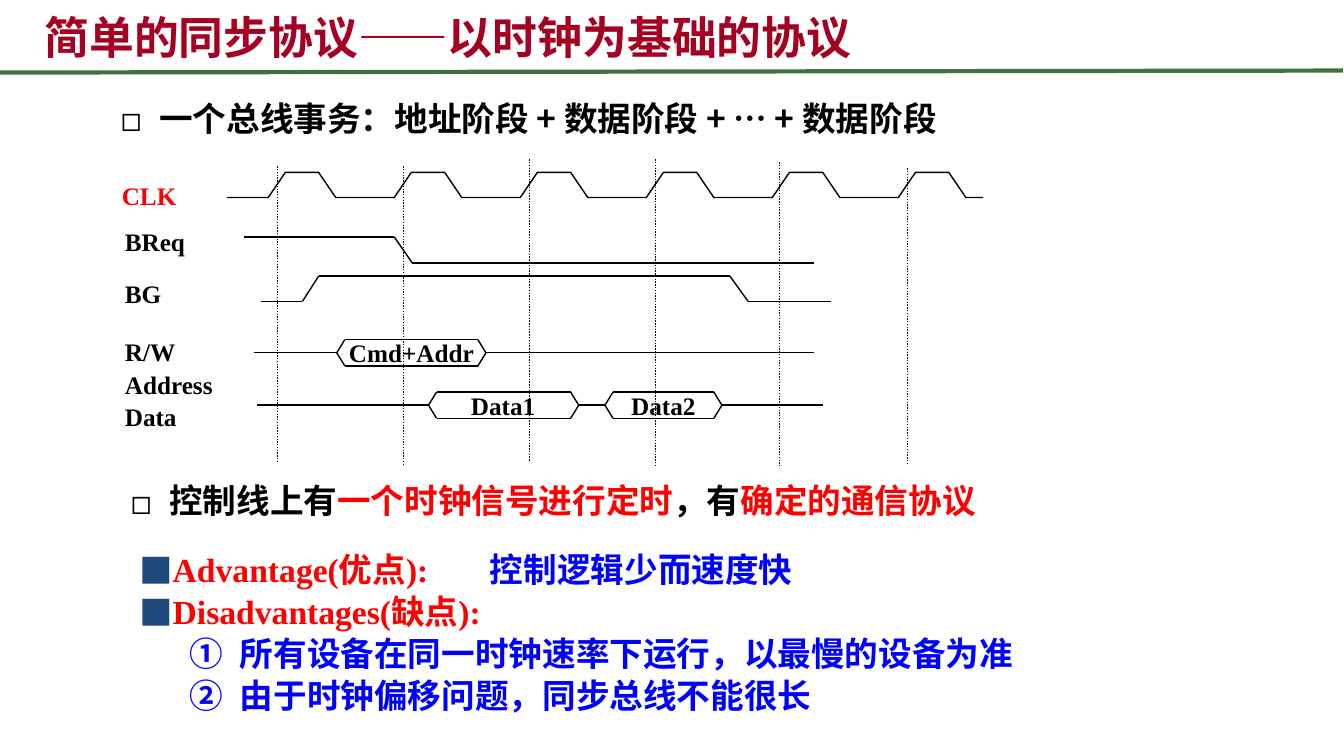
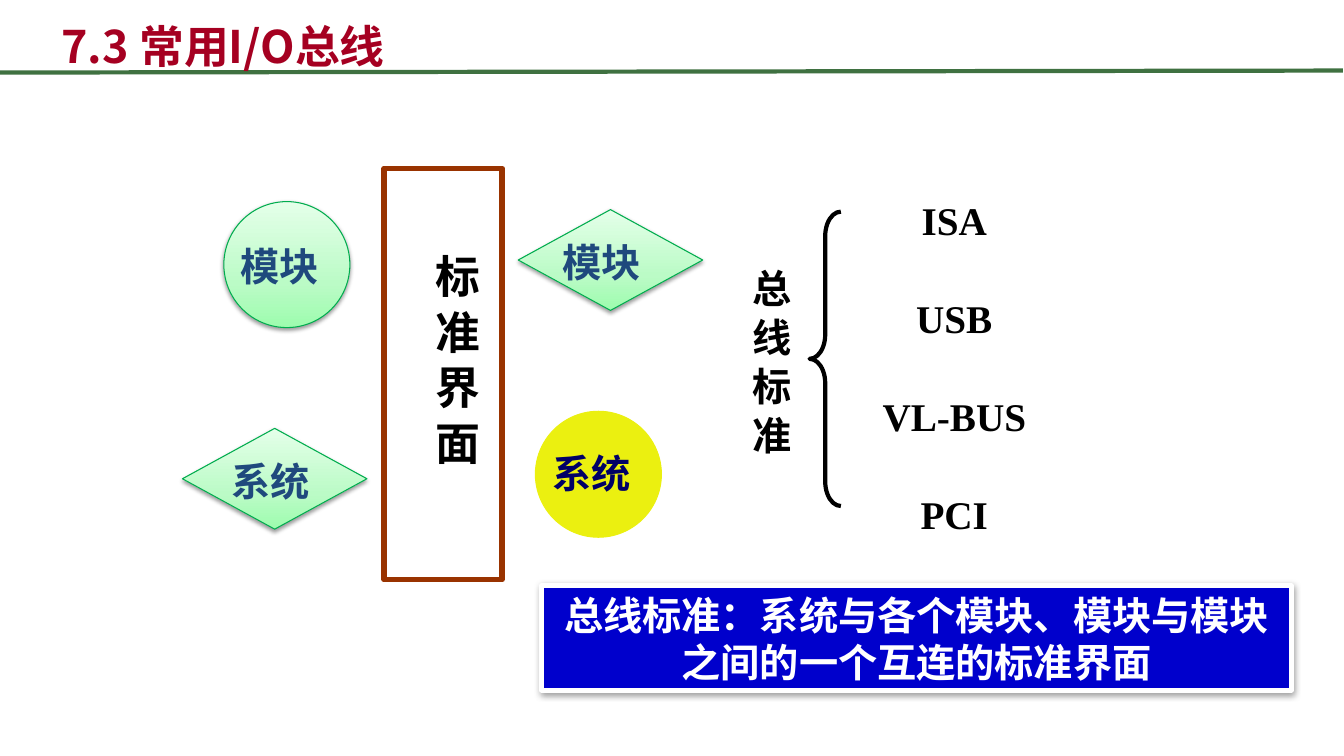
from dataclasses import dataclass
from itertools import pairwise
from typing import Any, Optional

from lxml import etree
from pptx import Presentation
from pptx.dml.color import RGBColor
from pptx.enum import dml, shapes, text
from pptx.oxml import ns
from pptx import util as u

PX = 9144
COLORS = {
    "title": "A50021", "rule": "3F7141", "ink": "000000", "red": "FF0000",
    "blue": "0000FF", "navy": "1F497D", "midnight": "000066", "yellow": "EBF010",
    "green": "00AC4E", "brown": "993300", "panel": "0000CC", "white": "FFFFFF",
    "mint_deep": "9DFCAE", "mint": "BBFBC6", "mint_pale": "E4FFE9",
}
CJK, SERIF = "Noto Sans CJK SC", "Times New Roman"
CENTER, LEFT = text.PP_ALIGN.CENTER, text.PP_ALIGN.LEFT
TOP, MIDDLE, BOTTOM = text.MSO_ANCHOR.TOP, text.MSO_ANCHOR.MIDDLE, text.MSO_ANCHOR.BOTTOM
Point = tuple[int, int]


@dataclass(frozen=True)
class Box:
    x: int
    y: int
    w: int
    h: int

    def emu(self) -> list[int]:
        return [v * PX for v in (self.x, self.y, self.w, self.h)]


@dataclass(frozen=True)
class Style:
    size: int
    font: str = SERIF
    color: str = "ink"
    align: Any = LEFT
    line: Optional[int] = None
    gap: int = 0


@dataclass(frozen=True)
class Bullet:
    char: str = ""
    number: str = ""
    color: str = "ink"
    margin: int = 38
    hang: int = 38
    tab: int = 0


@dataclass(frozen=True)
class Item:
    phrases: tuple[tuple[str, str], ...]
    bullet: Optional[Bullet] = None
    level: int = 0


@dataclass(frozen=True)
class Node:
    caption: str
    kind: Any
    box: Box
    caption_at: Point
    color: str = "navy"
    plain: bool = False


@dataclass(frozen=True)
class Cell:
    caption: str
    left: int
    right: int


def rgb(name: str) -> RGBColor:
    return RGBColor.from_string(COLORS[name])


def sub(parent: Any, tag: str, **attrs: Any) -> Any:
    return etree.SubElement(parent, ns.qn(tag), {k: str(v) for k, v in attrs.items()})


def add_bullet(paragraph: Any, bullet: Bullet) -> None:
    props = paragraph._p.get_or_add_pPr()
    props.set("marL", str(bullet.margin * PX))
    props.set("indent", str(-bullet.hang * PX))
    if bullet.number:
        sub(props, "a:buFont", typeface="+mj-lt")
        sub(props, "a:buAutoNum", type=bullet.number)
    else:
        sub(sub(props, "a:buClr"), "a:srgbClr", val=COLORS[bullet.color])
        sub(props, "a:buFont", typeface=CJK)
        sub(props, "a:buChar", char=bullet.char)
    if bullet.tab:
        sub(sub(props, "a:tabLst"), "a:tab", pos=bullet.tab * PX, algn="l")


def format_run(run: Any, style: Style, color: str) -> None:
    font = run.font
    font.size, font.bold, font.name = u.Pt(style.size), True, style.font
    font.color.rgb = rgb(color)
    latin = run._r.get_or_add_rPr().find(ns.qn("a:latin"))
    latin.addnext(etree.Element(ns.qn("a:ea"), {"typeface": CJK}))


def write(shape: Any, items: list[Item], style: Style, anchor: Any = TOP) -> None:
    frame = shape.text_frame
    frame.word_wrap = True
    frame.auto_size = text.MSO_AUTO_SIZE.NONE
    frame.vertical_anchor = anchor
    for index, item in enumerate(items):
        paragraph = frame.add_paragraph() if index else frame.paragraphs[0]
        paragraph.text = item.phrases[0][0]
        for words, _ in item.phrases[1:]:
            paragraph.add_run().text = words
        if item.bullet:
            add_bullet(paragraph, item.bullet)
        paragraph.level = item.level
        paragraph.alignment = style.align
        paragraph.space_before = u.Pt(style.gap if index else 0)
        if style.line:
            paragraph.line_spacing = u.Pt(style.line)
        for run, (_, color) in zip(paragraph.runs, item.phrases):
            format_run(run, style, color)


def plain(style: Style, *lines: str) -> list[Item]:
    return [Item(((line, style.color),)) for line in lines]


def add_text(slide: Any, box: Box, items: list[Item], style: Style) -> Any:
    caption = slide.shapes.add_textbox(*box.emu())
    write(caption, items, style)
    return caption


def place(placeholder: Any, box: Box) -> None:
    placeholder.left, placeholder.top, placeholder.width, placeholder.height = box.emu()


def set_title(slide: Any, words: str, box: Box) -> None:
    style = Style(32, CJK, "title", line=40)
    place(slide.shapes.title, box)
    write(slide.shapes.title, plain(style, words), style, BOTTOM)


def segment(slide: Any, start: Point, end: Point, color: str = "ink",
            width: int = 1, dotted: bool = False) -> Any:
    line = slide.shapes.add_connector(
        shapes.MSO_CONNECTOR.STRAIGHT, *(v * PX for v in (*start, *end)))
    line.line.color.rgb = rgb(color)
    line.line.width = u.Pt(width)
    if dotted:
        line.line.dash_style = dml.MSO_LINE.ROUND_DOT
    sub(line._element.spPr, "a:effectLst")
    return line


def trace(slide: Any, *points: Point) -> None:
    for start, end in pairwise(points):
        segment(slide, start, end)


def clock(slide: Any, left: int, period: int, cycles: int) -> None:
    low, high = 196, 171
    wave = [(41, low), (58, high), (91, high), (108, low), (period, low)]
    for cycle in range(cycles):
        x = left + cycle * period
        pulse = slide.shapes.build_freeform(x, low, scale=PX)
        pulse.add_line_segments([(x + dx, y) for dx, y in wave], close=False)
        outline = pulse.convert_to_shape()
        outline.shadow.inherit = False
        outline.fill.background()
        outline.line.color.rgb = rgb("ink")
        outline.line.width = u.Pt(1)


def bus(slide: Any, y: int, start: int, end: int, cells: list[Cell]) -> None:
    style = Style(18, align=CENTER)
    x = start
    for cell in cells:
        a, b = cell.left, cell.right
        trace(slide, (x, y), (a, y))
        trace(slide, (a, y), (a + 8, y - 13), (b - 8, y - 13), (b, y),
              (b - 8, y + 13), (a + 8, y + 13), (a, y))
        add_text(slide, Box((a + b) // 2 - 80, y - 20, 160, 40),
                 plain(style, cell.caption), style)
        x = b
    trace(slide, (x, y), (end, y))


def add_shadow(shape: Any, blur: float) -> None:
    effects = shape._element.spPr.find(ns.qn("a:effectLst"))
    outer = sub(effects, "a:outerShdw", blurRad=u.Pt(blur), dist=u.Pt(1.6),
                dir=5400000, rotWithShape=0)
    sub(sub(outer, "a:srgbClr", val=COLORS["ink"]), "a:alpha", val=38000)


def add_gradient(shape: Any) -> None:
    shape.fill.gradient()
    old = shape._element.spPr.find(ns.qn("a:gradFill"))
    gradient = etree.Element(ns.qn("a:gradFill"), {"rotWithShape": "1"})
    stops = sub(gradient, "a:gsLst")
    for percent, color in ((0, "mint_deep"), (35, "mint"), (100, "mint_pale")):
        sub(sub(stops, "a:gs", pos=percent * 1000), "a:srgbClr", val=COLORS[color])
    sub(gradient, "a:lin", ang=16200000, scaled=0)
    old.getparent().replace(old, gradient)


def add_preset(slide: Any, kind: Any, box: Box, line: str, width: float,
               fill: Optional[str] = None) -> Any:
    shape = slide.shapes.add_shape(kind, *box.emu())
    shape.shadow.inherit = False
    shape.line.color.rgb = rgb(line)
    shape.line.width = u.Pt(width)
    if fill:
        shape.fill.solid()
        shape.fill.fore_color.rgb = rgb(fill)
    else:
        shape.fill.background()
    return shape


def add_node(slide: Any, node: Node) -> None:
    if node.plain:
        add_preset(slide, node.kind, node.box, "yellow", 0.75, "yellow")
    else:
        body = add_preset(slide, node.kind, node.box, "green", 0.75)
        add_gradient(body)
        add_shadow(body, 3.1)
    style = Style(28, color=node.color, align=CENTER, line=35)
    add_text(slide, Box(*node.caption_at, 99, 57), plain(style, node.caption), style)


def protocol_slide(slide: Any) -> None:
    set_title(slide, "简单的同步协议——以时钟为基础的协议", Box(34, 4, 895, 64))
    clock(slide, 225, 125, 6)
    for x, top, bottom in ((275, 165, 458), (400, 165, 461), (525, 158, 458),
                           (650, 158, 462), (773, 161, 464), (900, 167, 461)):
        segment(slide, (x, top), (x, bottom), dotted=True)
    trace(slide, (242, 235), (391, 235), (409, 261), (807, 261))
    trace(slide, (259, 299), (300, 299), (316, 274), (724, 274), (742, 299), (824, 299))
    bus(slide, 350, 252, 807, [Cell("Cmd+Addr", 334, 482)])
    bus(slide, 402, 255, 816, [Cell("Data1", 425, 574), Cell("Data2", 600, 716)])
    label = Style(18, gap=2)
    for x, y, lines in ((114, 220, ("BReq",)), (114, 271, ("BG",)),
                        (114, 329, ("R/W", "Address")), (114, 393, ("Data",))):
        add_text(slide, Box(x, y, 130, 40 * len(lines)), plain(label, *lines), label)
    signal = Style(18, color="red")
    add_text(slide, Box(111, 174, 97, 40), plain(signal, "CLK"), signal)

    square = Bullet("◻")
    add_text(slide, Box(81, 95, 887, 47),
             [Item((("一个总线事务：地址阶段 + 数据阶段 + … + 数据阶段", "ink"),), square)],
             Style(24, CJK, align=CENTER, line=27))
    add_text(slide, Box(120, 470, 914, 50),
             [Item((("控制线上有", "ink"), ("一个时钟信号进行定时", "red"),
                    ("，有", "ink"), ("确定的通信协议", "red")), square)],
             Style(24, CJK, line=30))

    block = Bullet("■", color="navy", margin=29, hang=29, tab=348)
    circled = Bullet(number="circleNumDbPlain", margin=100, hang=50)
    verdict = slide.placeholders[1]
    place(verdict, Box(128, 538, 1047, 178))
    write(verdict, [
        Item((("Advantage(优点):\t", "red"), ("控制逻辑少而速度快", "blue")), block),
        Item((("Disadvantages(缺点):", "red"),), block),
        Item((("所有设备在同一时钟速率下运行，以最慢的设备为准", "blue"),), circled, 1),
        Item((("由于时钟偏移问题，同步总线不能很长", "blue"),), circled, 1),
    ], Style(24, line=30))


def standards_slide(slide: Any) -> None:
    set_title(slide, "7.3 常用I/O总线", Box(51, 3, 768, 74))
    preset = shapes.MSO_SHAPE
    for node in (
        Node("模块", preset.OVAL, Box(222, 200, 125, 125), (228, 234)),
        Node("系统", preset.OVAL, Box(531, 408, 125, 125), (537, 439), "midnight", True),
        Node("系统", preset.DIAMOND, Box(181, 425, 183, 100), (219, 447)),
        Node("模块", preset.DIAMOND, Box(514, 208, 183, 100), (547, 230)),
    ):
        add_node(slide, node)

    add_preset(slide, preset.RECTANGLE, Box(381, 167, 117, 408), "brown", 4)
    upright = Style(32)
    interface = add_text(slide, Box(410, 242, 74, 350), plain(upright, "标 准 界 面"), upright)
    interface.text_frame._txBody.bodyPr.set("vert", "eaVert")

    brace = add_preset(slide, preset.LEFT_BRACE, Box(803, 210, 31, 292), "ink", 3)
    brace.adjustments[0] = 0.78
    stacked = Style(28, align=CENTER, line=35)
    add_text(slide, Box(736, 255, 59, 206), plain(stacked, *"总线标准"), stacked)
    spread = Style(28, align=CENTER, line=35, gap=35)
    add_text(slide, Box(845, 188, 203, 354),
             plain(spread, "ISA", "USB", "VL-BUS", "PCI"), spread)

    panel = add_preset(slide, preset.RECTANGLE, Box(537, 581, 744, 104), "white", 3, "panel")
    add_shadow(panel, 5)
    summary = Style(28, CJK, "white", CENTER, 34)
    write(panel, plain(summary, "总线标准：系统与各个模块、模块与模块之间的一个互连的标准界面"),
          summary, MIDDLE)


def main() -> None:
    deck = Presentation()
    deck.slide_width, deck.slide_height = 1333 * PX, 750 * PX
    protocol = deck.slides.add_slide(deck.slide_layouts[1])
    rule = segment(protocol, (0, 72), (1332, 70), "rule", 3)
    deck.slide_master.element.cSld.spTree.append(rule.element)
    protocol_slide(protocol)
    standards_slide(deck.slides.add_slide(deck.slide_layouts[5]))
    deck.save("out.pptx")


if __name__ == "__main__":
    main()
